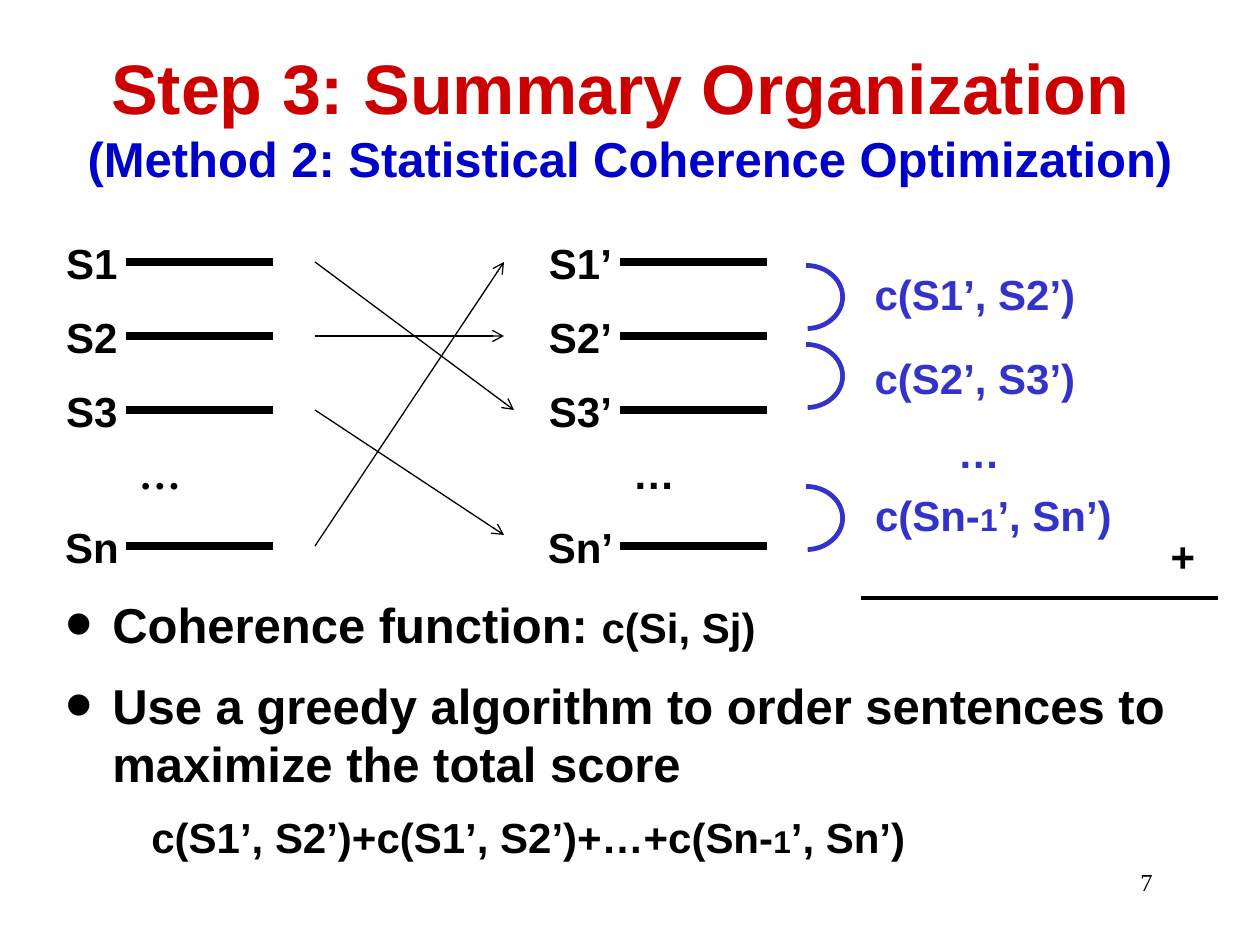
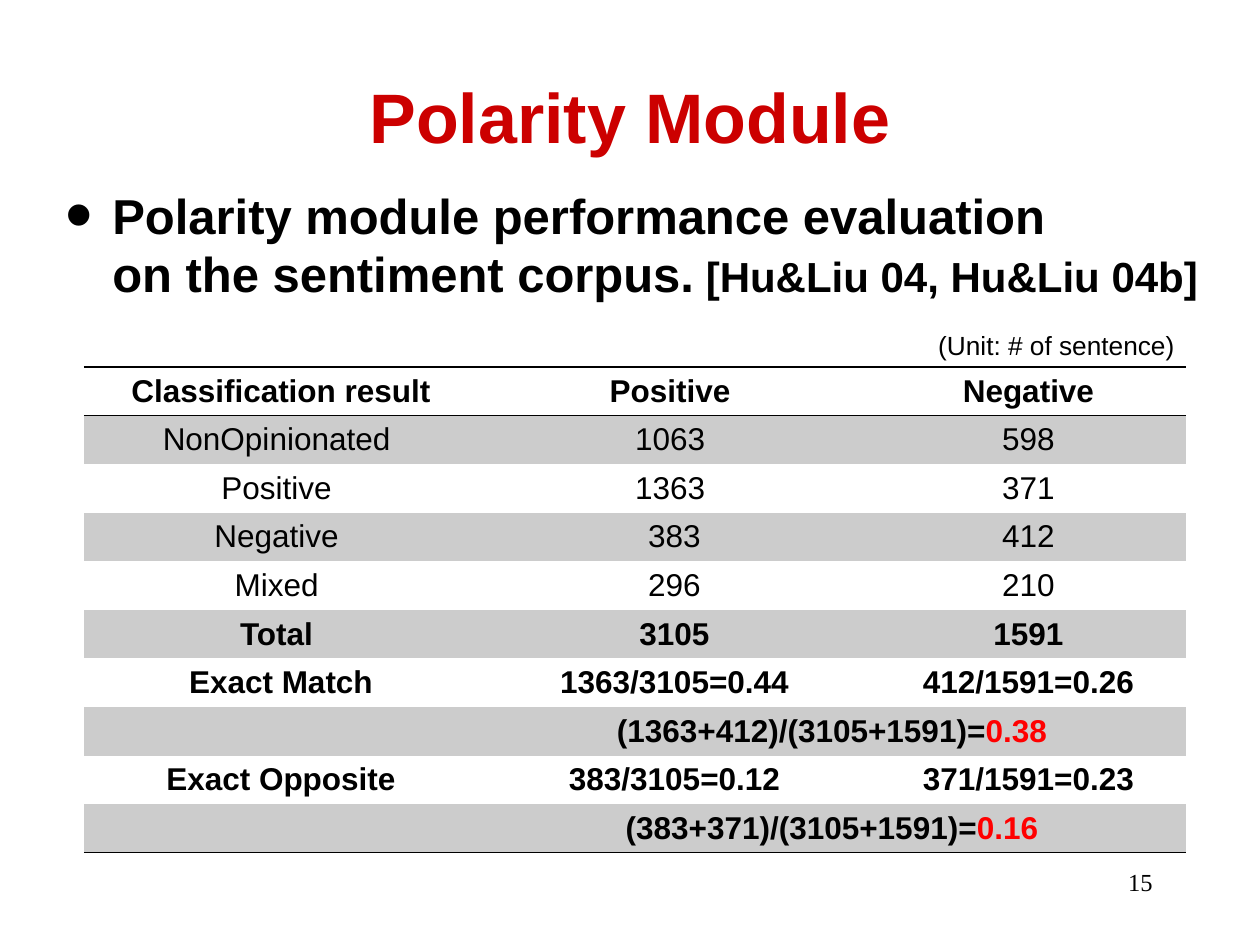
import pptx
import pptx.dml.color
import pptx.enum.shapes
import pptx.enum.text
import pptx.oxml.ns
import pptx.util
from lxml import etree

RGBColor = pptx.dml.color.RGBColor
PP_ALIGN = pptx.enum.text.PP_ALIGN
ANCHOR = pptx.enum.text.MSO_ANCHOR
qn = pptx.oxml.ns.qn

# Shared look
RED = RGBColor(0xCC, 0x00, 0x00)
BLUE = RGBColor(0x00, 0x00, 0xCC)
INDIGO = RGBColor(0x33, 0x33, 0xCC)
HIGHLIGHT = RGBColor(0xFF, 0x00, 0x00)
BLACK = RGBColor(0x00, 0x00, 0x00)
BAND = RGBColor(0xCC, 0xCC, 0xCC)
SANS, SERIF = "Arial", "Times New Roman"
PX = 914400 / 126

# Content: runs are (text, size) or (text, size, colour); "\n" breaks the line
ORGANIZATION_TITLE = [("Step 3: Summary Organization ", 40, RED), ("\n", 40),
                      ("(Method 2: Statistical Coherence Optimization)", 28, BLUE)]
POLARITY_TITLE = [("Polarity Module", 40, RED)]

ROW_Y = [262, 336, 410, 546]
SENTENCES = ["S1", "S2", "S3", "Sn"]
# Label left, label width, bar left, suffix, font of the dots
COLUMNS = [(53, 78, 126, "", SERIF), (535, 91, 620, "’", SANS)]
# Start row, end x, end y
MOVES = [(0, 514, 410), (1, 504, 336), (2, 504, 535), (3, 504, 262)]
ARC_TOPS = [264, 343, 485]
# Left, top, width, runs
SCORES = [
    (861, 262, 228, [("c(S1’, S2’)", 24, INDIGO)]),
    (861, 346, 228, [("c(S2’, S3’)", 24, INDIGO)]),
    (945, 420, 68, [("…", 24, INDIGO)]),
    (861, 483, 265, [("c(Sn-", 24, INDIGO), ("1", 18, INDIGO), ("’, Sn’)", 24, INDIGO)]),
    (1158, 524, 50, [("+", 24)]),
]
# (is a bullet, runs)
COHERENCE_POINTS = [
    (True, [("Coherence function: ", 28), ("c(Si, Sj)", 24)]),
    (True, [("Use a greedy algorithm to order sentences to maximize the total score", 28)]),
    (False, [("c(S1’, S2’)+c(S1’, S2’)+…+c(Sn-", 24), ("1", 18), ("’, Sn’)", 24)]),
]
POLARITY_POINTS = [
    (True, [("Polarity module performance evaluation ", 28), ("\n", 28),
            ("on the sentiment corpus.", 28), (" [Hu&Liu 04, Hu&Liu 04b]", 24)]),
]
COLUMN_WIDTHS = [394, 393, 315]
# A pair in place of a text is a formula and its highlighted result, across two columns
RESULTS = [
    ["Classification result", "Positive ", "Negative"],
    ["NonOpinionated ", "1063 ", "598"],
    ["Positive ", "1363 ", "371"],
    ["Negative ", "383", "412"],
    ["Mixed ", "296", "210"],
    ["Total ", "3105", "1591"],
    ["Exact Match", "1363/3105=0.44", "412/1591=0.26"],
    ["", ("(1363+412)/(3105+1591)=", "0.38")],
    ["Exact Opposite", "383/3105=0.12", "371/1591=0.23"],
    ["", ("(383+371)/(3105+1591)=", "0.16")],
]
PLAIN_ROWS = range(1, 5)


def px(value):
    return pptx.util.Emu(round(value * PX))


def add_runs(paragraph, runs, bold=True, font=SANS):
    for text, size, *colour in runs:
        if text == "\n":
            paragraph.add_line_break()
            line_break = paragraph._p.findall(qn("a:br"))[-1]
            etree.SubElement(line_break, qn("a:rPr"), sz=str(size * 100))
            continue
        run = paragraph.add_run()
        run.text = text
        run.font.name = font
        run.font.size = pptx.util.Pt(size)
        run.font.bold = bold
        run.font.color.rgb = colour[0] if colour else BLACK


def add_text(slide, left, top, width, height, runs, align=PP_ALIGN.CENTER,
             wrap=False, bold=True, font=SANS):
    box = slide.shapes.add_textbox(px(left), px(top), px(width), px(height))
    frame = box.text_frame
    frame.word_wrap = wrap
    if not wrap:
        # Tight labels get narrow side margins so they stay on one line
        frame.margin_left = frame.margin_right = px(4)
    paragraph = frame.paragraphs[0]
    paragraph.alignment = align
    add_runs(paragraph, runs, bold, font)


def add_line(slide, start, end, width, arrow=False):
    line = slide.shapes.add_connector(
        pptx.enum.shapes.MSO_CONNECTOR.STRAIGHT, *map(px, start + end))
    line.line.color.rgb = BLACK
    line.line.width = pptx.util.Pt(width)
    if arrow:
        etree.SubElement(line.line._get_or_add_ln(), qn("a:tailEnd"), type="arrow")
    etree.SubElement(line._element.spPr, qn("a:effectLst"))


def add_points(slide, top, width, height, points):
    box = slide.shapes.add_textbox(px(53), px(top), px(width), px(height))
    frame = box.text_frame
    frame.word_wrap = True
    for index, (bulleted, runs) in enumerate(points):
        paragraph = frame.paragraphs[0] if index == 0 else frame.add_paragraph()
        if index:
            paragraph.space_before = pptx.util.Pt(runs[0][1] * 0.45)
        properties = paragraph._p.get_or_add_pPr()
        properties.set("marL", str(px(47 if bulleted else 86)))
        properties.set("indent", str(px(-47 if bulleted else 0)))
        if bulleted:
            etree.SubElement(properties, qn("a:buSzPct"), val="160000")
            etree.SubElement(properties, qn("a:buFont"), typeface=SANS)
            etree.SubElement(properties, qn("a:buChar"), char="•")
        add_runs(paragraph, runs)


def start_slide(presentation, title_runs, number):
    slide = presentation.slides.add_slide(presentation.slide_layouts[5])
    title = slide.shapes.title
    title.left, title.top, title.width, title.height = map(px, (0, 42, 1260, 147))
    title.text_frame.vertical_anchor = ANCHOR.MIDDLE
    title.text_frame.auto_size = pptx.enum.text.MSO_AUTO_SIZE.NONE
    paragraph = title.text_frame.paragraphs[0]
    paragraph.alignment = PP_ALIGN.CENTER
    add_runs(paragraph, title_runs)
    add_text(slide, 903, 861, 262, 63, [(number, 14)], PP_ALIGN.RIGHT, True, False, SERIF)
    return slide


def set_borders(cell, ruled_sides):
    properties = cell._tc.get_or_add_tcPr()
    for side in "LRTB":
        border = etree.SubElement(properties, qn("a:ln" + side), w="12700")
        if side in ruled_sides:
            fill = etree.SubElement(border, qn("a:solidFill"))
            etree.SubElement(fill, qn("a:srgbClr"), val=str(BLACK))
        else:
            etree.SubElement(border, qn("a:noFill"))


def add_results_table(slide):
    count = len(RESULTS)
    table = slide.shapes.add_table(count, len(COLUMN_WIDTHS), px(84), px(367),
                                   px(sum(COLUMN_WIDTHS)), px(486)).table
    table.first_row = table.horz_banding = False
    for column, width in zip(table.columns, COLUMN_WIDTHS):
        column.width = px(width)
    for row_index, values in enumerate(RESULTS):
        table.rows[row_index].height = px(486 / count)
        ruled = {0: "TB", 1: "T", count - 1: "B"}.get(row_index, "")
        for column_index in range(len(COLUMN_WIDTHS)):
            cell = table.cell(row_index, column_index)
            cell.margin_top = cell.margin_bottom = px(5)
            cell.vertical_anchor = ANCHOR.MIDDLE
            set_borders(cell, ruled)
            if row_index % 2:
                cell.fill.solid()
                cell.fill.fore_color.rgb = BAND
            else:
                cell.fill.background()
        for column_index, value in enumerate(values):
            cell = table.cell(row_index, column_index)
            runs = [(value, 18)] if value else []
            if isinstance(value, tuple):
                cell.merge(table.cell(row_index, column_index + 1))
                runs = [(value[0], 18), (value[1], 18, HIGHLIGHT)]
            paragraph = cell.text_frame.paragraphs[0]
            paragraph.alignment = PP_ALIGN.CENTER
            bold = row_index not in PLAIN_ROWS
            add_runs(paragraph, runs, bold)


def build_organization(presentation):
    slide = start_slide(presentation, ORGANIZATION_TITLE, "7")
    # Sentences before and after reordering
    for left, width, bar_left, suffix, dots_font in COLUMNS:
        for name, y in zip(SENTENCES, ROW_Y):
            add_text(slide, left, y - 31, width, 64, [(name + suffix, 24)])
            add_line(slide, (bar_left, y), (bar_left + 147, y), 5)
        add_text(slide, bar_left, 441, 68, 64, [("…", 24)], font=dots_font)
    for row, end_x, end_y in MOVES:
        add_line(slide, (315, ROW_Y[row]), (end_x, end_y), 0.75, arrow=True)
    # Coherence of neighbours: a quarter turn swaps each arc's width and height
    for top in ARC_TOPS:
        arc = slide.shapes.add_shape(pptx.enum.shapes.MSO_SHAPE.BLOCK_ARC,
                                     px(772), px(top - 6), px(68), px(78))
        arc.rotation = 90
        for index, value in enumerate((108, 214.18, 0.07)):
            arc.adjustments[index] = value
        arc.shadow.inherit = False
        arc.fill.solid()
        arc.fill.fore_color.rgb = INDIGO
        arc.line.fill.background()
    for left, top, width, runs in SCORES:
        add_text(slide, left, top, width, 64, runs)
    add_line(slide, (861, 598), (1218, 598), 2)
    add_points(slide, 588, 1176, 231, COHERENCE_POINTS)


def build_polarity(presentation):
    slide = start_slide(presentation, POLARITY_TITLE, "15")
    add_points(slide, 179, 1166, 140, POLARITY_POINTS)
    add_results_table(slide)
    add_text(slide, 819, 323, 368, 44, [("(Unit: # of sentence)", 15)],
             PP_ALIGN.RIGHT, True, False)


def main():
    presentation = pptx.Presentation()
    presentation.slide_width, presentation.slide_height = px(1260), px(945)
    build_organization(presentation)
    build_polarity(presentation)
    presentation.save("out.pptx")


if __name__ == "__main__":
    main()
